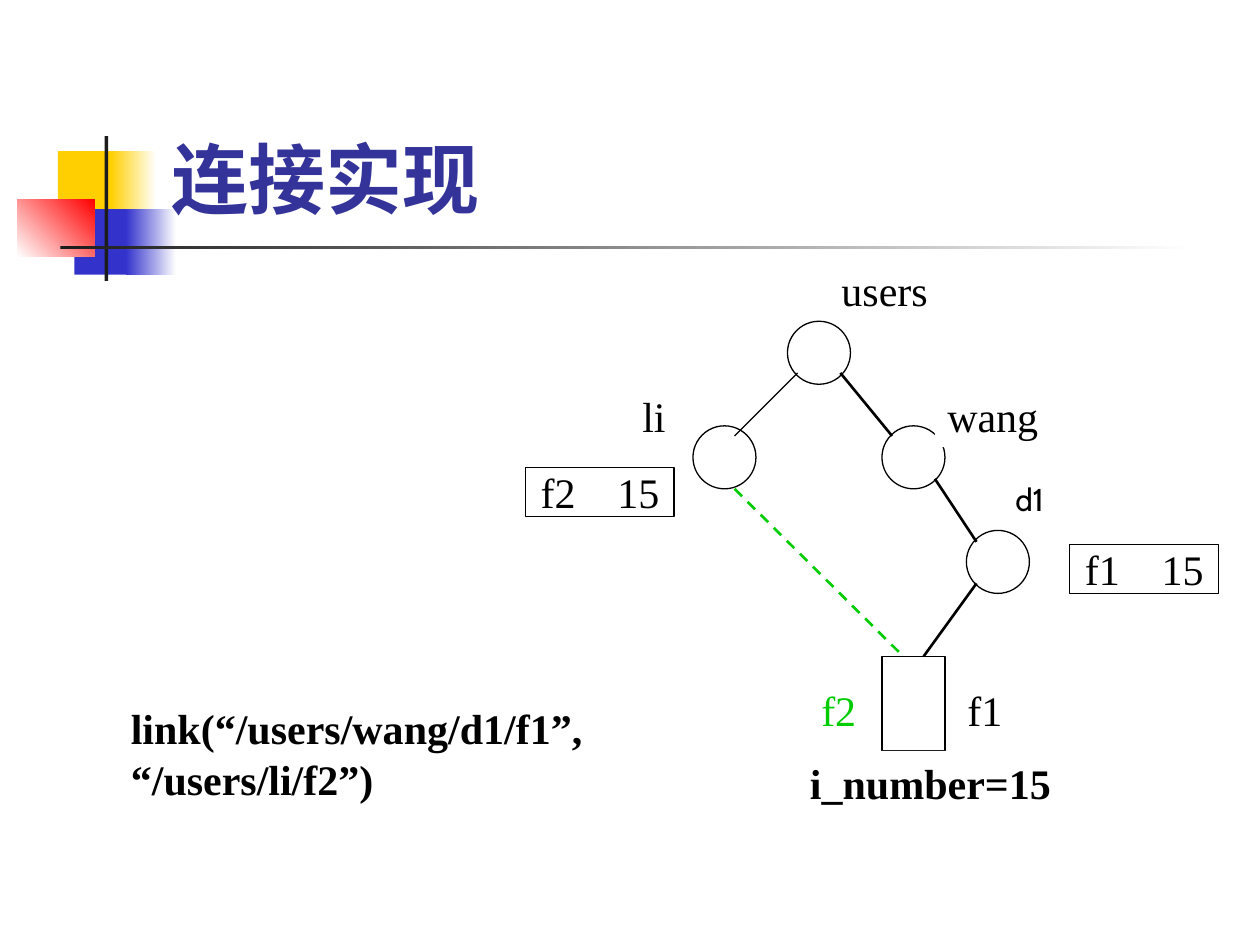
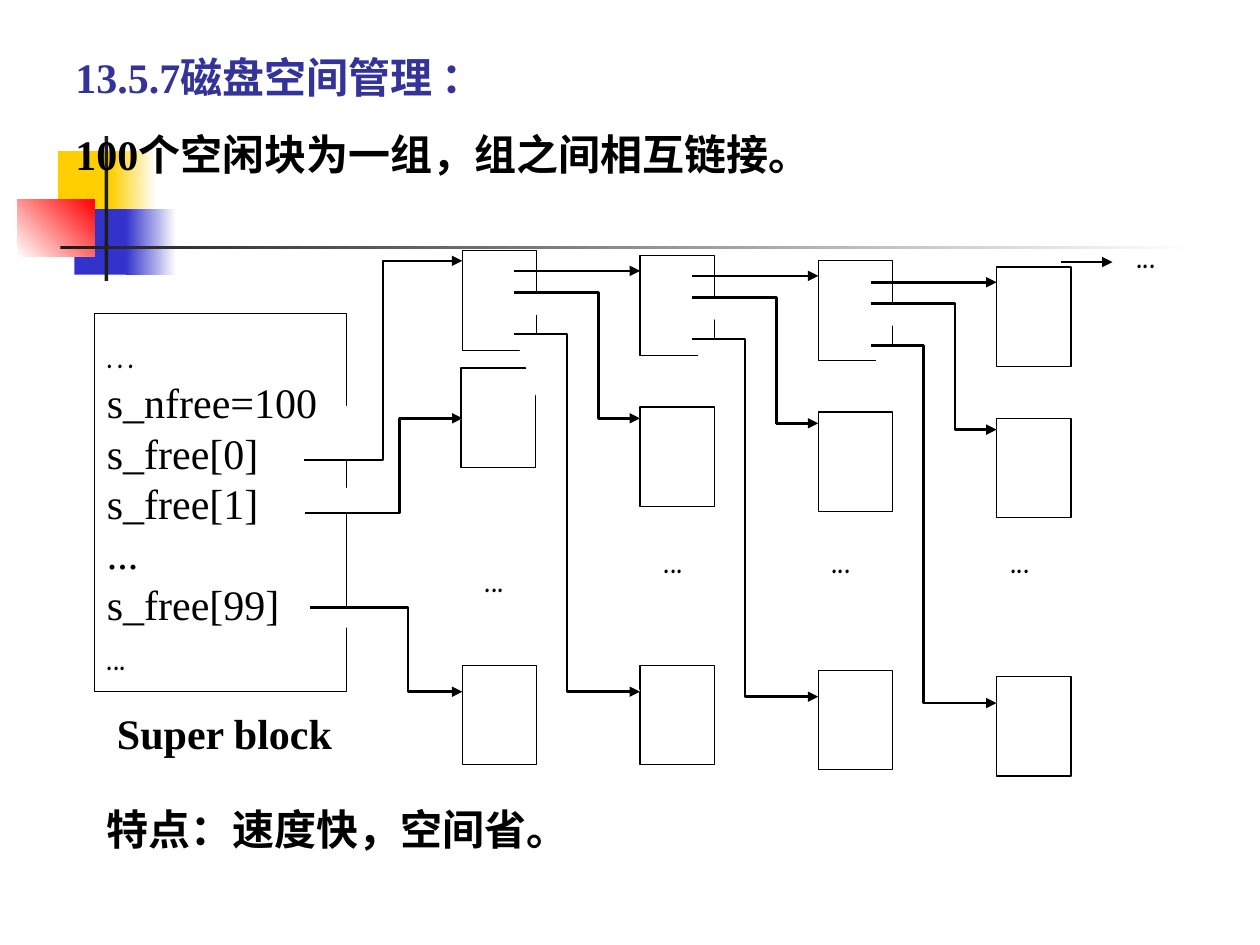
from lxml import etree
from pptx import Presentation
from pptx.dml.color import RGBColor
from pptx.enum.dml import MSO_LINE
from pptx.enum.shapes import MSO_CONNECTOR, MSO_SHAPE
from pptx.enum.text import MSO_ANCHOR
from pptx.oxml.ns import qn
from pptx.util import Inches, Pt

RECT, OVAL = MSO_SHAPE.RECTANGLE, MSO_SHAPE.OVAL
STRAIGHT, DASH = MSO_CONNECTOR.STRAIGHT, MSO_LINE.DASH
TOP, MIDDLE, BOTTOM = MSO_ANCHOR.TOP, MSO_ANCHOR.MIDDLE, MSO_ANCHOR.BOTTOM

COLORS = {
    "white": "FFFFFF", "black": "000000", "ink": "1C1C1C", "title": "333399",
    "yellow": "FFCF01", "blue": "3333CC", "red": "FF0000", "green": "00CC00",
}
SERIF, SANS, DOTS, HAN = "Times New Roman", "Cabin", "Comic Neue", "Noto Sans CJK SC"

EMBLEM = [
    ((0.46, 1.2, 0.48, 0.52), ("yellow",), 0),
    ((0.88, 1.2, 0.36, 0.52), ("yellow", "white"), 0),
    ((0.59, 1.66, 0.46, 0.52), ("blue",), 0),
    ((1, 1.66, 0.4, 0.52), ("blue", "white"), 0),
    ((0.14, 1.58, 0.61, 0.46), ("white", "red"), 45),
    ((0.83, 1.08, 0.03, 1.15), ("ink",), 0),
    ((0.48, 1.95, 9, 0.03), ("ink", "white"), 0),
]

DIRECTORY_SIZE = 0.5
DIRECTORIES = [(7, 3.38), (7.67, 4.21), (5.5, 3.38), (6.25, 2.55)]
FILE_BOX = (7, 5.21, 0.5, 0.75)
TREE_EDGES = [
    ((7.75, 4.63), (7.33, 5.21), 1.5),
    ((7.42, 3.8), (7.75, 4.3), 1.5),
    ((6.67, 2.96), (7.08, 3.46), 1.5),
    ((6.33, 2.96), (5.83, 3.46), 0.75),
]
NEW_LINK = ((5.83, 3.88), (7.17, 5.21))
TREE_LABELS = [
    ("users", (6.58, 2.05, 1.08, 0.5), "black", False),
    ("wang", (7.42, 3.05, 1.17, 0.5), "black", False),
    ("li", (5, 3.05, 0.5, 0.5), "black", False),
    ("f1", (7.58, 5.38, 0.67, 0.5), "black", False),
    ("f2", (6.42, 5.38, 0.5, 0.5), "green", False),
    ("i_number=15", (6.33, 5.96, 2.17, 0.5), "black", True),
]
ENTRIES = [("f2\t15", (4.17, 3.71)), ("f1\t15", (8.49, 4.32))]
ENTRY_SIZE, ENTRY_INSET, ENTRY_TAB = (1.18, 0.39), 0.12, 0.61

SUPER_BLOCK = [
    ("…", DOTS), ("s_nfree=100", SERIF), ("s_free[0]", SERIF), ("s_free[1]", SERIF),
    ("...", SERIF), ("s_free[99]", SERIF), ("...", DOTS),
]
BLOCK_SIZE = (0.59, 0.79)
FIRST_GROUP = [(3.67, 1.99), (3.67, 5.28)]
SUPER_LINKS = [
    ((2.41, 3.65), 3.04, (3.67, 2.07)),
    ((2.42, 4.07), 3.17, (3.67, 3.32)),
    ((2.46, 4.82), 3.24, (3.67, 5.49)),
]
GROUP_LEFT, GROUP_STEP = 5.08, 1.415
GROUP_TOPS = [2.03, 2.07, 2.12]
BLOCK_DROPS = [1.2, 3.25, 0]
LINK_REACH = 1
GROUP_LINKS = [(0.29, 0.67, 1.29), (0.62, 0.42, 3.46)]
ELLIPSES = [(8.92, 1.75), (7.92, 4.17), (6.5, 4.17), (5.17, 4.17)]
ELLIPSIS_SIZE = (0.58, 0.5)


def rgb(name):
    return RGBColor.from_string(COLORS[name])


def box(slide, at, kind=RECT, fill="white", line="black"):
    shape = slide.shapes.add_shape(kind, *map(Inches, at))
    shape.shadow.inherit = False
    shape.fill.solid()
    shape.fill.fore_color.rgb = rgb(fill)
    if line:
        shape.line.color.rgb = rgb(line)
        shape.line.width = Pt(0.75)
    else:
        shape.line.fill.background()
    return shape


def write(shape, lines, size=24, bold=False, before=15, anchor=TOP):
    frame = shape.text_frame
    frame.word_wrap = True
    frame.vertical_anchor = anchor
    for i, (text, face, color) in enumerate(lines):
        paragraph = frame.add_paragraph() if i else frame.paragraphs[0]
        paragraph.text = text
        paragraph.alignment = 1
        paragraph.space_before = Pt(before)
        font = paragraph.font
        font.name, font.size, font.bold = face, Pt(size), bold
        font.color.rgb = rgb(color)
        defaults = paragraph._p.pPr.find(qn("a:defRPr"))
        etree.SubElement(defaults, qn("a:ea")).set("typeface", HAN)
    return frame


def text_box(slide, at, lines, **style):
    return write(slide.shapes.add_textbox(*map(Inches, at)), lines, **style)


def add_arrowhead(shape):
    line = shape.line._get_or_add_ln()
    etree.SubElement(line, qn("a:tailEnd")).set("type", "triangle")


def straight(slide, start, end, width=1.5, color="black", arrow=False):
    edge = slide.shapes.add_connector(STRAIGHT, *map(Inches, start + end))
    edge.line.color.rgb = rgb(color)
    edge.line.width = Pt(width)
    etree.SubElement(edge._element.spPr, qn("a:effectLst"))
    if arrow:
        add_arrowhead(edge)
    return edge


def elbow(slide, start, turn, end):
    points = [start, (turn, start[1]), (turn, end[1]), end]
    points = [(Inches(x), Inches(y)) for x, y in points]
    builder = slide.shapes.build_freeform(*points[0])
    builder.add_line_segments(points[1:], close=False)
    link = builder.convert_to_shape()
    link.shadow.inherit = False
    link.fill.solid()
    link.fill.fore_color.rgb = rgb("white")
    link.line.color.rgb = rgb("black")
    link.line.width = Pt(1.5)
    add_arrowhead(link)


def new_slide(deck):
    slide = deck.slides.add_slide(deck.slide_layouts[6])
    for at, fills, angle in EMBLEM:
        part = box(slide, at, fill=fills[0], line=None)
        if len(fills) == 2:
            part.fill.gradient()
            part.fill.gradient_angle = angle
            for stop, name, position in zip(part.fill.gradient_stops, fills, (0, 1)):
                stop.color.rgb = rgb(name)
                stop.position = position
    return slide


def build_link_slide(deck):
    slide = new_slide(deck)
    text_box(slide, (1.26, 0.23, 8.52, 1.6), [("连接实现", SANS, "title")],
             size=44, bold=True, before=0, anchor=BOTTOM)
    for corner in DIRECTORIES:
        box(slide, corner + (DIRECTORY_SIZE, DIRECTORY_SIZE), OVAL)
    box(slide, FILE_BOX)
    for start, end, width in TREE_EDGES:
        straight(slide, start, end, width)
    for text, at, color, bold in TREE_LABELS:
        write(box(slide, at, line=None), [(text, SERIF, color)], bold=bold)
    straight(slide, *NEW_LINK, color="green").line.dash_style = DASH
    for text, corner in ENTRIES:
        entry = write(box(slide, corner + ENTRY_SIZE), [(text, SERIF, "black")],
                      before=0, anchor=MIDDLE)
        entry.margin_left, entry.margin_right = Inches(ENTRY_INSET), 0
        tabs = etree.Element(qn("a:tabLst"))
        etree.SubElement(tabs, qn("a:tab"), pos=str(Inches(ENTRY_TAB)), algn="l")
        entry.paragraphs[0]._p.pPr.find(qn("a:defRPr")).addprevious(tabs)
    text_box(slide, (0.94, 5.53, 4.42, 0.9),
             [("link(“/users/wang/d1/f1”, “/users/li/f2”)", SERIF, "black")], bold=True)
    text_box(slide, (7.96, 3.76, 0.63, 0.4), [("d1", SANS, "black")], size=18, before=11.2)


def build_space_slide(deck):
    slide = new_slide(deck)
    dots = [("...", DOTS, "black")]
    text_box(slide, (0.5, 0.36, 8.83, 1.72), [
        ("13.5.7磁盘空间管理 ：", SERIF, "title"),
        ("100个空闲块为一组，组之间相互链接。", SERIF, "black"),
    ], bold=True)
    box(slide, (3.66, 2.92) + BLOCK_SIZE)
    write(box(slide, (0.75, 2.49, 2, 3)),
          [(text, face, "black") for text, face in SUPER_BLOCK], before=0, anchor=MIDDLE)
    write(box(slide, (0.83, 5.57, 1.92, 0.5), line=None),
          [("Super block", SERIF, "black")], bold=True)
    for corner in FIRST_GROUP:
        box(slide, corner + BLOCK_SIZE)
    write(box(slide, (3.75, 4.32) + ELLIPSIS_SIZE, line=None), dots)
    for link in SUPER_LINKS:
        elbow(slide, *link)
    for column, top in enumerate(GROUP_TOPS):
        left = GROUP_LEFT + column * GROUP_STEP
        source = left - LINK_REACH
        for drop in BLOCK_DROPS:
            box(slide, (left, top + drop) + BLOCK_SIZE)
        straight(slide, (source, top + 0.12), (left, top + 0.12), arrow=True)
        for leave, run, arrive in GROUP_LINKS:
            elbow(slide, (source, top + leave), source + run, (left, top + arrive))
    straight(slide, (8.42, 2.08), (8.83, 2.08), arrow=True)
    for corner in ELLIPSES:
        text_box(slide, corner + ELLIPSIS_SIZE, dots)
    text_box(slide, (0.75, 6.33, 7.83, 0.5),
             [("特点：速度快，空间省。", SERIF, "black")], bold=True)


def main():
    deck = Presentation()
    deck.slide_width, deck.slide_height = Inches(10), Inches(7.5)
    build_link_slide(deck)
    build_space_slide(deck)
    deck.save("out.pptx")


if __name__ == "__main__":
    main()
